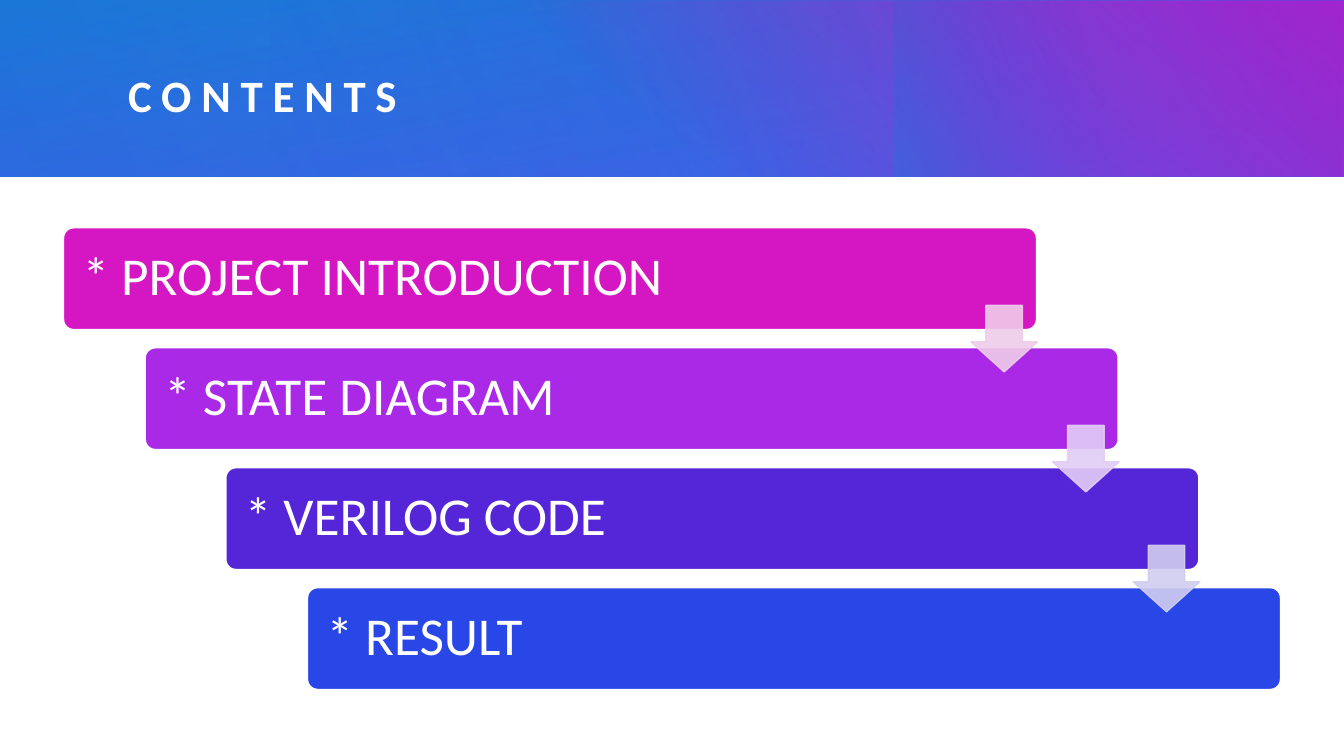
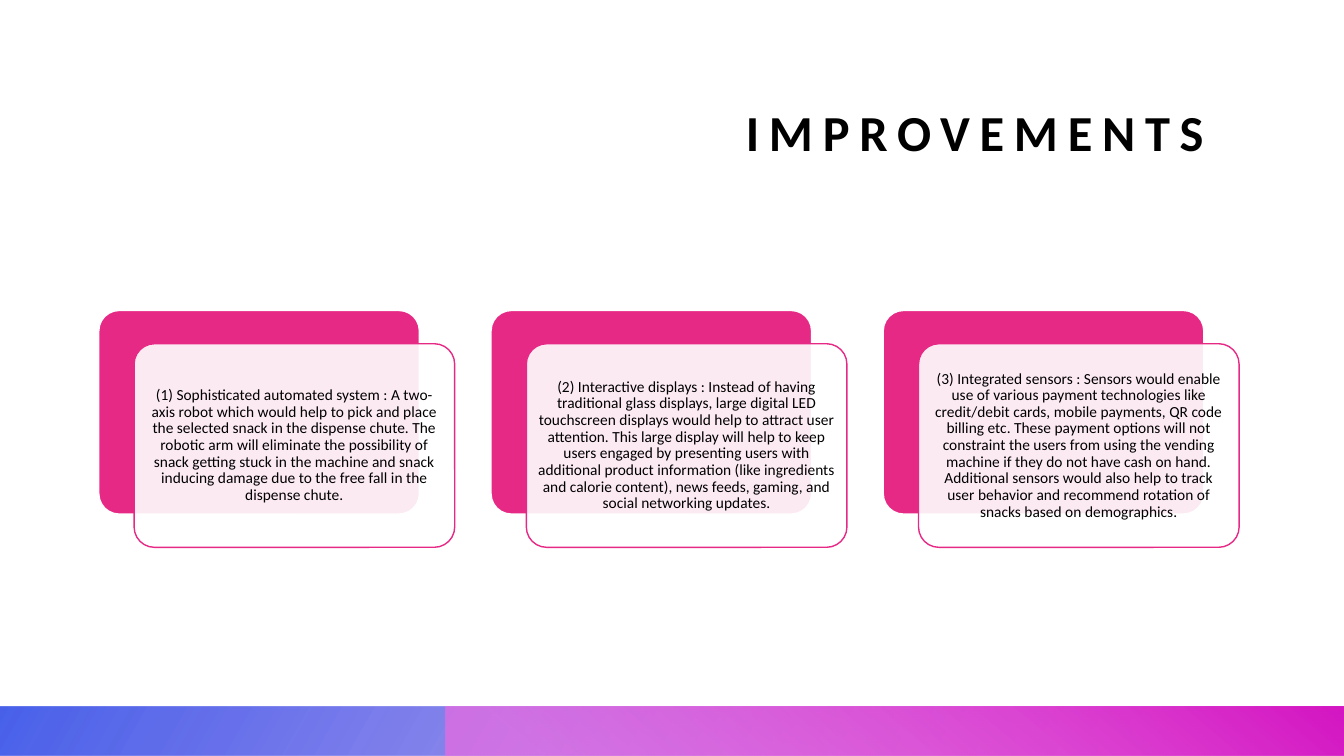
from lxml import etree
from pptx import Presentation
from pptx.dml.color import RGBColor
from pptx.enum.shapes import MSO_SHAPE
from pptx.enum.text import MSO_ANCHOR, MSO_AUTO_SIZE, PP_ALIGN
from pptx.oxml.ns import qn
from pptx.util import Pt

PX = 9144
WIDTH, HEIGHT = 1333, 750
FONT = "Calibri"
TITLE_ONLY = 5
RECT, ROUND, ARROW = MSO_SHAPE.RECTANGLE, MSO_SHAPE.ROUNDED_RECTANGLE, MSO_SHAPE.DOWN_ARROW
LEFT, CENTER, RIGHT = PP_ALIGN.LEFT, PP_ALIGN.CENTER, PP_ALIGN.RIGHT
MIDDLE, BOTTOM = MSO_ANCHOR.MIDDLE, MSO_ANCHOR.BOTTOM

COLORS = {
    "white": "FFFFFF", "black": "000000", "pink": "E72986",
    "magenta": "D517C3", "purple": "AA29E7", "violet": "5526D8",
    "blue": "2946E7", "sky": "1784D5", "orchid": "EF6BE2",
    "pale_magenta": "EFCCE9", "pale_purple": "E2CDF6", "pale_violet": "D1CDF0",
}

HEADER_LAYERS = [
    ((0, 0, 1333, 175), 0, 260, [(0, "blue", 83), (100, "sky", 100)]),
    ((481, 1, 852, 174), 0, 310, [(22, "magenta", 0), (99, "magenta", 100)]),
    ((987, -99, 175, 374), 270, 250, [(45, "violet", 0), (99, "sky", 33)]),
    ((268, 0, 1064, 175), 180, 330, [(0, "blue", 30), (99, "blue", 0)]),
    ((0, 0, 865, 175), 0, 340, [(0, "blue", 21), (99, "blue", 0)]),
]
FOOTER_LAYERS = [
    ((0, 0, 1333, 49), 180, 150, [(14, "violet", 28), (100, "blue", 85)]),
    ((442, 0, 892, 49), 0, 230, [(9, "orchid", 68), (99, "magenta", 100)]),
]

CONTENTS = [
    ("* PROJECT INTRODUCTION", "magenta", "pale_magenta"),
    ("* STATE DIAGRAM", "purple", "pale_purple"),
    ("* VERILOG CODE", "violet", "pale_violet"),
    ("* RESULT", "blue", None),
]
IMPROVEMENTS = [
    "(1) Sophisticated automated system : A two-axis robot which would help to pick and place "
    "the selected snack in the dispense chute. The robotic arm will eliminate the possibility of "
    "snack getting stuck in the machine and snack inducing damage due to the free fall in the "
    "dispense chute.",
    "(2) Interactive displays : Instead of having traditional glass displays, large digital LED "
    "touchscreen displays would help to attract user attention. This large display will help to "
    "keep users engaged by presenting users with additional product information (like ingredients "
    "and calorie content), news feeds, gaming, and social networking updates.",
    "(3) Integrated sensors : Sensors would enable use of various payment technologies like "
    "credit/debit cards, mobile payments, QR code billing etc. These payment options will not "
    "constraint the users from using the vending machine if they do not have cash on hand. "
    "Additional sensors would also help to track user behavior and recommend rotation of snacks "
    "based on demographics.",
]


def rgb(name):
    return RGBColor.from_string(COLORS[name])


def emu(box):
    return [v * PX for v in box]


def set_alphas(sp, alphas):
    for clr, alpha in zip(sp._element.spPr.iter(qn("a:srgbClr")), alphas):
        if alpha < 100:
            etree.SubElement(clr, qn("a:alpha")).set("val", str(alpha * 1000))


def add_box(slide, kind, box, fill, line, adjustments, alphas=()):
    sp = slide.shapes.add_shape(kind, *emu(box))
    sp.shadow.inherit = False
    sp.fill.solid()
    sp.fill.fore_color.rgb = rgb(fill)
    sp.line.color.rgb = rgb(line)
    sp.line.width = Pt(1)
    for i, value in enumerate(adjustments):
        sp.adjustments[i] = value
    set_alphas(sp, alphas)
    return sp


def add_gradient(slide, box, rotation, angle, stops, flip):
    sp = slide.shapes.add_shape(RECT, *emu(box))
    sp.shadow.inherit = False
    sp.rotation = rotation
    if flip:
        sp._element.spPr.xfrm.set("flipH", "1")
    sp.fill.gradient()
    sp.fill.gradient_angle = 360 - angle
    for stop, (position, color, _) in zip(sp.fill.gradient_stops, stops):
        stop.position = position / 100
        stop.color.rgb = rgb(color)
    set_alphas(sp, [alpha for _, _, alpha in stops])
    sp.line.fill.background()


def add_band(slide, top, layers, flip=False):
    for (x, y, w, h), rotation, angle, stops in layers:
        add_gradient(slide, (x, top + y, w, h), rotation, angle, stops, flip)


def set_text(sp, text, size, color, align, anchor, inset, spacing=0.9):
    tf = sp.text_frame
    tf.text = text
    tf.word_wrap = True
    tf.auto_size = MSO_AUTO_SIZE.NONE
    tf.vertical_anchor = anchor
    tf.margin_left = tf.margin_right = tf.margin_top = tf.margin_bottom = inset * PX
    p = tf.paragraphs[0]
    p.alignment = align
    p.line_spacing = spacing
    r = p.runs[0]
    r.font.name = FONT
    r.font.size = Pt(size)
    r.font.color.rgb = rgb(color)
    return r


def set_title(slide, box, text, size, color, align, anchor):
    title = slide.shapes.title
    title.left, title.top, title.width, title.height = emu(box)
    r = set_text(title, text, size, color, align, anchor, 0, spacing=1.0)
    r.font.bold = True
    r.font._element.set("spc", "700")


def add_steps(slide, box):
    left, top, width, height = box
    bar_w, bar_h = 965, 101
    last = len(CONTENTS) - 1
    spots = [(left + round((width - bar_w) * i / last), top + round((height - bar_h) * i / last))
             for i in range(len(CONTENTS))]
    for (x, y), (text, fill, _) in zip(spots, CONTENTS):
        bar = add_box(slide, ROUND, (x, y, bar_w, bar_h), fill, "white", [0.1])
        set_text(bar, text, 38, "white", LEFT, MIDDLE, 16)
    for (x, y), (_, _, pale) in zip(spots[:-1], CONTENTS):
        add_box(slide, ARROW, (x + 900, y + 77, 66, 66), pale, pale, [0.55, 0.45], [90, 90])


def add_cards(slide, box):
    left, top, width, height = box
    card_w, card_h = 318, 202
    dx, dy = 35, height - card_h
    step = (width - card_w - dx) // (len(IMPROVEMENTS) - 1)
    for i, text in enumerate(IMPROVEMENTS):
        x = left + i * step
        add_box(slide, ROUND, (x, top, card_w, card_h), "pink", "white", [0.1])
        card = add_box(slide, ROUND, (x + dx, top + dy, card_w, card_h),
                       "white", "pink", [0.1], [90])
        set_text(card, text, 11, "black", CENTER, MIDDLE, 5)


def build_contents(prs):
    slide = prs.slides.add_slide(prs.slide_layouts[TITLE_ONLY])
    add_band(slide, 0, HEADER_LAYERS)
    title = slide.shapes.title._element
    slide.shapes._spTree.append(title)
    set_title(slide, (127, 41, 1135, 106), "CONTENTS", 32, "white", LEFT, MIDDLE)
    add_steps(slide, (63, 226, 1207, 458))


def build_improvements(prs):
    slide = prs.slides.add_slide(prs.slide_layouts[TITLE_ONLY])
    set_title(slide, (150, 50, 1044, 110), "IMPROVEMENTS", 36, "black", RIGHT, BOTTOM)
    add_band(slide, 701, FOOTER_LAYERS, flip=True)
    add_cards(slide, (98, 308, 1131, 235))


def main():
    prs = Presentation()
    prs.slide_width, prs.slide_height = WIDTH * PX, HEIGHT * PX
    build_contents(prs)
    build_improvements(prs)
    prs.save("out.pptx")


if __name__ == "__main__":
    main()
